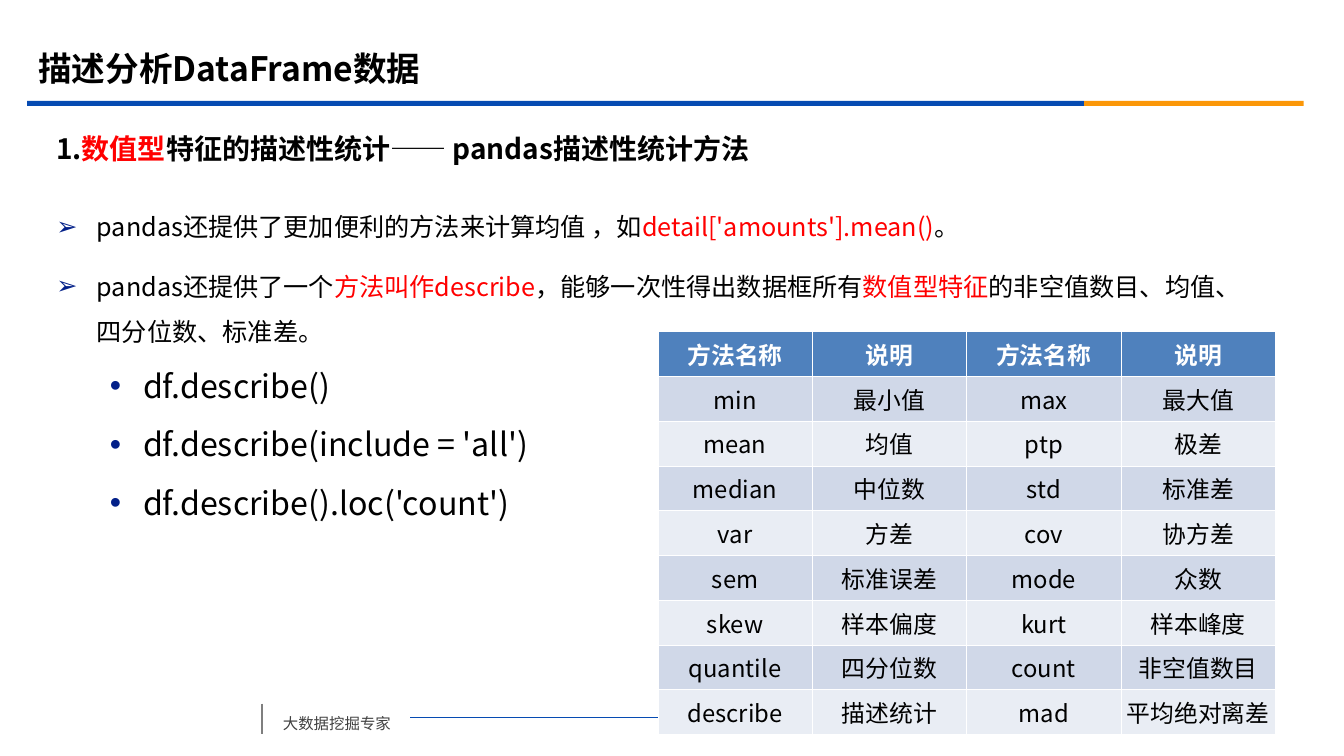
"""Build the slide on descriptive statistics for DataFrame data."""
from dataclasses import dataclass

from lxml import etree
from pptx import Presentation
from pptx import util as u
from pptx.dml.color import RGBColor
from pptx.enum import shapes, text
from pptx.oxml import ns

COLORS = {
    "black": "000000", "white": "FFFFFF", "red": "FF0000",
    "blue": "064BB2", "orange": "FB9708",
    "gray": "7F7F7F", "footer": "404040", "bullet": "032089",
    "header": "4F81BD", "odd": "D0D8E8", "even": "E9EDF4",
}
FONT = "Noto Sans CJK SC"


@dataclass(frozen=True)
class Box:
    """A position and size in inches."""
    left: float
    top: float
    width: float
    height: float

    def lengths(self) -> tuple:
        """Return the four values as lengths."""
        return tuple(map(u.Inches, (self.left, self.top, self.width, self.height)))


@dataclass(frozen=True)
class Span:
    """A stretch of text, with its own colour or weight where it has one."""
    content: str
    color: str = ""
    bold: bool | None = None


@dataclass(frozen=True)
class Style:
    """The look of a paragraph."""
    size: float
    color: str = "black"
    bold: bool = False
    align: text.PP_ALIGN = text.PP_ALIGN.LEFT
    line_spacing: float = 1.0
    space_before: float = 0


@dataclass(frozen=True)
class Bullet:
    """A list marker with its level and indents in inches."""
    mark: str
    level: int
    margin: float
    hanging: float


@dataclass(frozen=True)
class Rule:
    """A thin line between two points."""
    start: tuple[float, float]
    end: tuple[float, float]
    color: str
    width: float


TITLE = [Span("描述分析DataFrame数据")]
HEADING = [
    Span("1."), Span("数值型", "red"), Span("特征的描述性统计"),
    Span("—— ", bold=False), Span("pandas描述性统计方法"),
]
POINT = Bullet("➢", 0, 0.4, 0.4)
CODE = Bullet("•", 1, 0.86, 0.33)
BULLET_STYLES = {
    POINT: Style(18, line_spacing=1.5, space_before=10),
    CODE: Style(23, line_spacing=1.3, space_before=5.8),
}
BODY = [
    (POINT, [Span("pandas还提供了更加便利的方法来计算均值 ，如"),
             Span("detail['amounts'].mean()", "red"), Span("。")]),
    (POINT, [Span("pandas还提供了一个"), Span("方法叫作describe", "red"),
             Span("，能够一次性得出数据框所有"), Span("数值型特征", "red"),
             Span("的非空值数目、均值、四分位数、标准差。")]),
    (CODE, [Span("df.describe()")]),
    (CODE, [Span("df.describe(include = 'all')")]),
    (CODE, [Span("df.describe().loc('count')")]),
]
METHODS = [
    ("方法名称", "说明", "方法名称", "说明"),
    ("min", "最小值", "max", "最大值"),
    ("mean", "均值", "ptp", "极差"),
    ("median", "中位数", "std", "标准差"),
    ("var", "方差", "cov", "协方差"),
    ("sem", "标准误差", "mode", "众数"),
    ("skew", "样本偏度", "kurt", "样本峰度"),
    ("quantile", "四分位数", "count", "非空值数目"),
    ("describe", "描述统计", "mad", "平均绝对离差"),
]
METHODS_BOX = Box(6.53, 3.29, 6.13, 3.54)
BARS = [(Box(0.27, 1, 10.49, 0.05), "blue"), (Box(10.76, 1, 2.18, 0.05), "orange")]
RULES = [
    Rule((4.07, 7.12), (METHODS_BOX.left, 7.12), "blue", 0.75),
    Rule((2.6, 6.98), (2.6, 7.28), "gray", 1.25),
]


def rgb(name: str) -> RGBColor:
    """Return a named colour."""
    return RGBColor.from_string(COLORS[name])


def add_child(parent, tag: str, **attributes: str):
    """Append a drawing element and return it."""
    return etree.SubElement(parent, ns.qn(tag), attributes)


def write_paragraph(paragraph, spans: list[Span], style: Style) -> None:
    """Fill a paragraph with styled spans."""
    paragraph.alignment = style.align
    paragraph.line_spacing = style.line_spacing
    paragraph.space_before = u.Pt(style.space_before)
    font = paragraph.font
    font.name, font.size, font.bold = FONT, u.Pt(style.size), style.bold
    font.color.rgb = rgb(style.color)
    add_child(font._element, "a:ea", typeface=FONT)
    for span in spans:
        run = paragraph.add_run()
        run.text = span.content
        if span.color:
            run.font.color.rgb = rgb(span.color)
        if span.bold is not None:
            run.font.bold = span.bold


def set_bullet(paragraph, bullet: Bullet) -> None:
    """Give a paragraph its marker and indents."""
    paragraph.level = bullet.level
    properties = paragraph._p.get_or_add_pPr()
    properties.set("marL", str(u.Inches(bullet.margin)))
    properties.set("indent", str(-u.Inches(bullet.hanging)))
    color = add_child(properties, "a:buClr")
    add_child(color, "a:srgbClr", val=COLORS["bullet"])
    add_child(properties, "a:buFont", typeface="Arial")
    add_child(properties, "a:buChar", char=bullet.mark)


def place_frame(shape, box: Box, anchor=text.MSO_ANCHOR.TOP):
    """Position a text shape and return its wrapped frame."""
    shape.left, shape.top, shape.width, shape.height = box.lengths()
    frame = shape.text_frame
    frame.word_wrap = True
    frame.auto_size = text.MSO_AUTO_SIZE.NONE
    frame.vertical_anchor = anchor
    return frame


def add_text(slide, box: Box, spans: list[Span], style: Style,
             anchor=text.MSO_ANCHOR.TOP) -> None:
    """Add a one-paragraph text box."""
    shape = slide.shapes.add_textbox(*box.lengths())
    write_paragraph(place_frame(shape, box, anchor).paragraphs[0], spans, style)


def add_bar(slide, box: Box, color: str) -> None:
    """Add a filled bar without outline."""
    shape = slide.shapes.add_shape(shapes.MSO_SHAPE.RECTANGLE, *box.lengths())
    shape.shadow.inherit = False
    shape.fill.solid()
    shape.fill.fore_color.rgb = rgb(color)
    shape.line.fill.background()


def add_rule(slide, rule: Rule) -> None:
    """Add a thin straight line."""
    points = map(u.Inches, (*rule.start, *rule.end))
    connector = slide.shapes.add_connector(shapes.MSO_CONNECTOR.STRAIGHT, *points)
    connector.line.color.rgb = rgb(rule.color)
    connector.line.width = u.Pt(rule.width)
    add_child(connector._element.spPr, "a:effectLst")


def format_cell(cell, row: int) -> None:
    """Set the margins, borders and fill of a table cell."""
    cell.margin_left = cell.margin_right = u.Inches(0.03)
    cell.vertical_anchor = text.MSO_ANCHOR.MIDDLE
    properties = cell._tc.get_or_add_tcPr()
    for side in "LRTB":
        thick = (row, side) in ((0, "B"), (1, "T"))
        line = add_child(properties, f"a:ln{side}", w=str(u.Pt(1.47 if thick else 0.45)))
        add_child(add_child(line, "a:solidFill"), "a:srgbClr", val=COLORS["white"])
    cell.fill.solid()
    cell.fill.fore_color.rgb = rgb("header" if row == 0 else "odd" if row % 2 else "even")


def add_methods(slide, box: Box) -> None:
    """Add the table of methods."""
    table = slide.shapes.add_table(len(METHODS), len(METHODS[0]), *box.lengths()).table
    center = text.PP_ALIGN.CENTER
    for row, values in enumerate(METHODS):
        style = Style(17, "black" if row else "white", row == 0, center)
        for column, value in enumerate(values):
            cell = table.cell(row, column)
            format_cell(cell, row)
            write_paragraph(cell.text_frame.paragraphs[0], [Span(value)], style)


def main() -> None:
    """Build and save the slide."""
    presentation = Presentation()
    presentation.slide_width, presentation.slide_height = u.Inches(13.34), u.Inches(7.5)
    slide = presentation.slides.add_slide(presentation.slide_layouts[1])
    middle = text.MSO_ANCHOR.MIDDLE
    for box, color in BARS:
        add_bar(slide, box, color)
    for rule in RULES:
        add_rule(slide, rule)
    title = place_frame(slide.shapes.title, Box(0.28, 0.39, 12, 0.58), middle)
    write_paragraph(title.paragraphs[0], TITLE, Style(24, bold=True))
    add_text(slide, Box(0.46, 1.24, 12.15, 0.47), HEADING, Style(20, bold=True), middle)
    body = place_frame(slide.placeholders[1], Box(0.46, 1.9, 12.15, 4.78))
    for index, (bullet, spans) in enumerate(BODY):
        paragraph = body.add_paragraph() if index else body.paragraphs[0]
        set_bullet(paragraph, bullet)
        write_paragraph(paragraph, spans, BULLET_STYLES[bullet])
    body.paragraphs[0].space_before = u.Pt(0)
    add_text(slide, Box(2.71, 6.94, 1.36, 0.38), [Span("大数据挖掘专家")],
             Style(11, "footer", line_spacing=1.5))
    add_methods(slide, METHODS_BOX)
    presentation.save("out.pptx")


if __name__ == "__main__":
    main()
